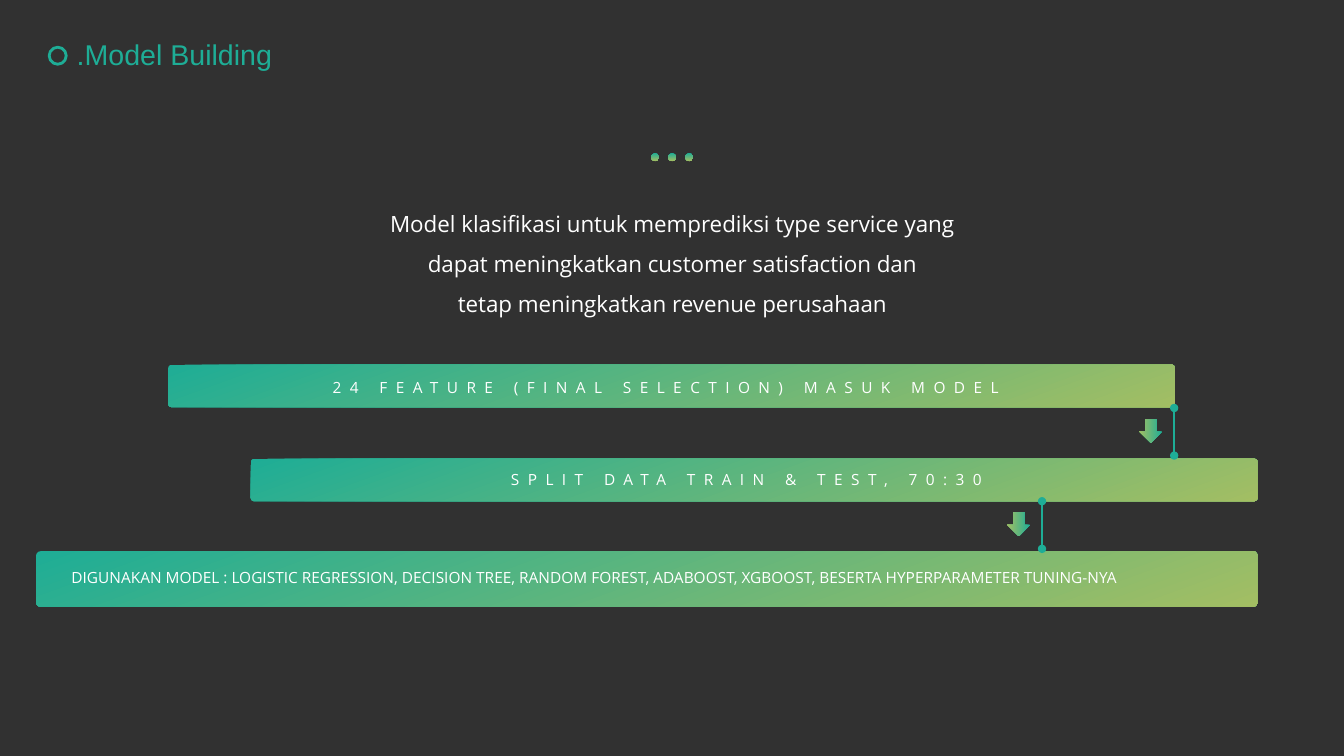
from lxml.etree import SubElement
from pptx import Presentation
from pptx.dml.color import RGBColor
from pptx.enum.shapes import MSO_CONNECTOR, MSO_SHAPE
from pptx.enum.text import MSO_ANCHOR, MSO_AUTO_SIZE, PP_ALIGN
from pptx.oxml.ns import qn
from pptx.util import Cm, Pt

DARK = RGBColor(0x31, 0x31, 0x31)
TEAL = RGBColor(0x1E, 0xAD, 0x96)
LIME = RGBColor(0xA3, 0xBE, 0x63)
WHITE = RGBColor(0xFF, 0xFF, 0xFF)


def add_blend(shapes, kind, box, angle):
    shape = shapes.add_shape(kind, *map(Cm, box))
    shape.shadow.inherit = False
    shape.line.fill.background()
    shape.fill.gradient()
    shape.fill.gradient_angle = angle
    for stop, color, place in zip(shape.fill.gradient_stops, (TEAL, LIME), (0, 1)):
        stop.color.rgb = color
        stop.position = place
    return shape


def add_text(slide, box, lines, align, size, gap=1, track=0):
    frame = slide.shapes.add_textbox(*map(Cm, box)).text_frame
    frame.word_wrap = True
    frame.auto_size = MSO_AUTO_SIZE.SHAPE_TO_FIT_TEXT
    frame.text = "\n".join(lines)
    for para in frame.paragraphs:
        para.alignment = align
        para.line_spacing = gap
        run = para.runs[0]
        look = {"name": "Open Sans", "size": Pt(size)}
        for key, value in look.items():
            setattr(run.font, key, value)
        run.font.color.rgb = WHITE
        if track:
            run.font._element.set("spc", str(track * 100))


deck = Presentation()
deck.slide_width = Cm(33.87)
deck.slide_height = Cm(19.05)
slide = deck.slides.add_slide(deck.slide_layouts[5])
slide.background.fill.solid()
slide.background.fill.fore_color.rgb = DARK

title = slide.shapes.title
spot = {"left": 1.68, "top": 0.89, "width": 6.07, "height": 1.07}
for key, value in spot.items():
    setattr(title, key, Cm(value))
frame = title.text_frame
frame.text = ".Model Building"
form = {
    "word_wrap": True,
    "auto_size": MSO_AUTO_SIZE.NONE,
    "vertical_anchor": MSO_ANCHOR.MIDDLE,
}
for key, value in form.items():
    setattr(frame, key, value)
para = frame.paragraphs[0]
para.alignment = PP_ALIGN.LEFT
para.line_spacing = 0.9
for key, value in {"name": "Arial", "size": Pt(20.4)}.items():
    setattr(para.runs[0].font, key, value)
para.runs[0].font.color.rgb = TEAL

ring = slide.shapes.add_shape(MSO_SHAPE.OVAL, Cm(1.24), Cm(1.19), Cm(0.43), Cm(0.43))
ring.shadow.inherit = False
ring.fill.background()
ring.line.color.rgb = TEAL
ring.line.width = Pt(2)

dots = slide.shapes.add_group_shape()
for step in range(3):
    add_blend(dots.shapes, MSO_SHAPE.OVAL, (16.41 + 0.43 * step, 3.86, 0.2, 0.2), 270)

goal = [
    "Model klasifikasi untuk memprediksi type service yang dapat meningkatkan customer satisfaction dan",
    "tetap meningkatkan revenue perusahaan",
]
add_text(slide, (9.53, 4.83, 14.83, 3.23), goal, PP_ALIGN.CENTER, 16, gap=1.5)

bars = [
    ((4.24, 9.19, 25.37, 1.07), (4.57, 9.4, 24.43, 0.74), PP_ALIGN.CENTER, 6,
     "24 FEATURE (FINAL SELECTION) MASUK MODEL"),
    ((6.32, 11.56, 25.37, 1.07), (6.6, 11.73, 24.43, 0.74), PP_ALIGN.CENTER, 6,
     "SPLIT DATA TRAIN & TEST, 70:30"),
    ((0.91, 13.89, 30.78, 1.4), (1.55, 14.2, 31.45, 0.74), PP_ALIGN.LEFT, 0,
     "DIGUNAKAN MODEL : LOGISTIC REGRESSION, DECISION TREE, RANDOM FOREST, "
     "ADABOOST, XGBOOST, BESERTA HYPERPARAMETER TUNING-NYA"),
]
for box, label, align, track, words in bars:
    bar = add_blend(slide.shapes, MSO_SHAPE.ROUNDED_RECTANGLE, box, 290)
    bar.adjustments[0] = 0.08
    add_text(slide, label, [words], align, 11, track=track)

for left, top in ((29.59, 10.28), (26.26, 12.63)):
    link = slide.shapes.add_connector(
        MSO_CONNECTOR.STRAIGHT, Cm(left), Cm(top), Cm(left), Cm(top + 1.2))
    link.line.color.rgb = TEAL
    link.line.width = Pt(1)
    for end in ("a:headEnd", "a:tailEnd"):
        SubElement(link.line._get_or_add_ln(), qn(end), type="oval")
    SubElement(link._element.spPr, qn("a:effectLst"))
    arrow = add_blend(
        slide.shapes, MSO_SHAPE.RIGHT_ARROW, (left - 0.89, top + 0.29, 0.61, 0.58), 270)
    arrow.rotation = 90

deck.save("out.pptx")
